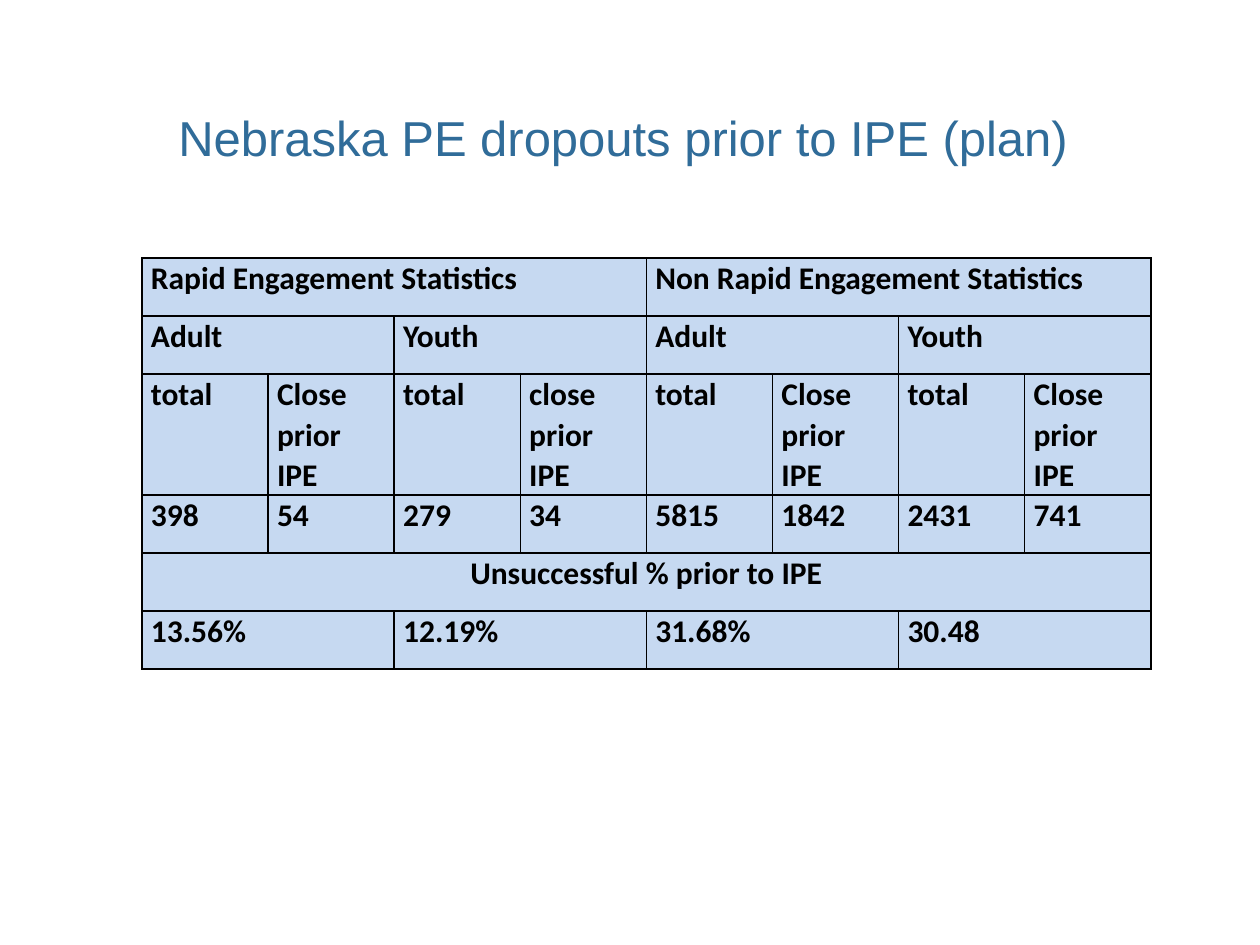
from lxml import etree
from pptx import Presentation
from pptx import util as u
from pptx.dml.color import RGBColor
from pptx.enum import text
from pptx.oxml.ns import qn

PX = u.Inches(1) // 126
COLORS = {"title": "306C99", "cell": "C6D9F1", "ink": "000000"}
COLUMNS = 8
ROW_HEIGHTS = [58, 58, 116, 58, 58, 58]
# Each row's entries share the eight columns equally
STATISTICS = [
    ["Rapid Engagement Statistics", "Non Rapid Engagement Statistics"],
    ["Adult", "Youth"] * 2,
    ["total", "Close prior IPE", "total", "close prior IPE",
     "total", "Close prior IPE", "total", "Close prior IPE"],
    ["398", "54", "279", "34", "5815", "1842", "2431", "741"],
    ["Unsuccessful % prior to IPE"],
    ["13.56%", "12.19%", "31.68%", "30.48"],
]


def write(frame, words, font, size, color, bold=False,
          align=text.PP_ALIGN.LEFT, spacing=1.0, after=0):
    frame.word_wrap = True
    paragraph = frame.paragraphs[0]
    paragraph.alignment = align
    paragraph.line_spacing = spacing
    paragraph.space_before = u.Pt(0)
    paragraph.space_after = u.Pt(after)
    run = paragraph.add_run()
    run.text = words
    run.font.name = font
    run.font.size = u.Pt(size)
    run.font.bold = bold
    run.font.color.rgb = RGBColor.from_string(COLORS[color])


def style_cell(cell):
    # Borders come before the fill in the cell's properties
    properties = cell._tc.get_or_add_tcPr()
    for side in ("lnL", "lnR", "lnT", "lnB"):
        line = etree.SubElement(properties, qn(f"a:{side}"), w=str(u.Pt(1)))
        fill = etree.SubElement(line, qn("a:solidFill"))
        etree.SubElement(fill, qn("a:srgbClr"), val=COLORS["ink"])
    cell.fill.solid()
    cell.fill.fore_color.rgb = RGBColor.from_string(COLORS["cell"])
    cell.margin_left = cell.margin_right = 9 * PX
    cell.margin_top = cell.margin_bottom = 0


def add_title(slide, left, top, width, height):
    title = slide.shapes.title
    title.left, title.top = left * PX, top * PX
    title.width, title.height = width * PX, height * PX
    title.text_frame.vertical_anchor = text.MSO_ANCHOR.TOP
    write(title.text_frame, "Nebraska PE dropouts prior to IPE (plan)",
          "Arial", 28, "title", align=text.PP_ALIGN.CENTER)


def add_statistics(slide, left, top, width):
    table = slide.shapes.add_table(
        len(STATISTICS), COLUMNS, left * PX, top * PX,
        width * PX, sum(ROW_HEIGHTS) * PX).table
    table.first_row = table.horz_banding = False
    for column in table.columns:
        column.width = width * PX // COLUMNS
    for row, height in zip(table.rows, ROW_HEIGHTS):
        row.height = height * PX
    for cell in table.iter_cells():
        style_cell(cell)

    # Entries, merged across their share of the columns
    for row, entries in enumerate(STATISTICS):
        span = COLUMNS // len(entries)
        align = text.PP_ALIGN.CENTER if span == COLUMNS else text.PP_ALIGN.LEFT
        for index, entry in enumerate(entries):
            first = index * span
            cell = table.cell(row, first)
            if span > 1:
                cell.merge(table.cell(row, first + span - 1))
            write(cell.text_frame, entry, "Calibri", 18, "ink", bold=True,
                  align=align, spacing=1.05, after=8)


def main():
    deck = Presentation()
    deck.slide_width, deck.slide_height = u.Inches(10), u.Inches(7.5)
    slide = deck.slides.add_slide(deck.slide_layouts[5])
    add_title(slide, 35, 101, 1176, 157)
    add_statistics(slide, 142, 258, 1009)
    deck.save("out.pptx")


if __name__ == "__main__":
    main()
